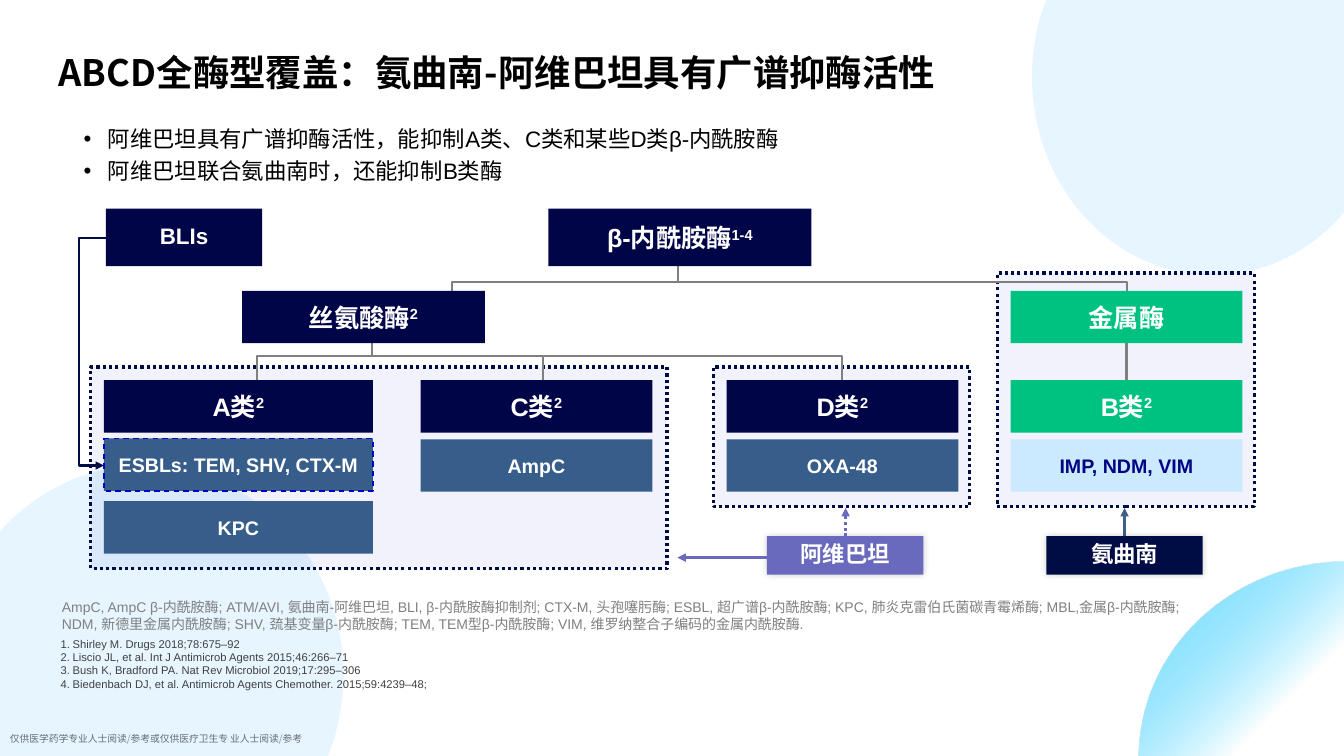
from dataclasses import dataclass
from typing import Any

import pptx
import pptx.dml.color
import pptx.enum.dml
import pptx.enum.shapes
import pptx.enum.text
import pptx.oxml.ns
import pptx.util
from lxml import etree

Cm, Pt, qn = pptx.util.Cm, pptx.util.Pt, pptx.oxml.ns.qn
Kind = pptx.enum.shapes.MSO_SHAPE
Dash = pptx.enum.dml.MSO_LINE
Align = pptx.enum.text.PP_ALIGN
Anchor = pptx.enum.text.MSO_ANCHOR
Point = tuple[float, float]


@dataclass(frozen=True)
class Theme:
    navy: str = "000548"
    green: str = "00C280"
    steel: str = "375E8A"
    ice: str = "CCEAFF"
    ice_text: str = "000483"
    violet: str = "696ABD"
    midnight: str = "000C44"
    frame: str = "000D45"
    blue: str = "0000C9"
    arrow: str = "405D86"
    grey: str = "808080"
    reference: str = "404040"
    slash: str = "333333"
    black: str = "000000"
    white: str = "FFFFFF"
    sky: str = "CFECFF"
    glow: tuple = (("8BE3FF", 0.15), ("0EC6FF", 0.71))
    latin: str = "Arial"
    chinese: str = "Noto Sans CJK SC"
    title: int = 26
    heading: int = 18
    body: int = 16
    member: int = 14
    glossary: int = 10
    small: int = 8
    footer: int = 7


THEME = Theme()


@dataclass(frozen=True)
class Label:
    text: str
    left: float
    top: float
    width: float
    height: float
    fill: str
    size: int = THEME.heading
    note: str = ""
    color: str = THEME.white
    kind: Any = Kind.ROUNDED_RECTANGLE
    inset: float = 0.25
    spacing: float = 1.0
    border: str = ""
    glow: bool = False


@dataclass(frozen=True)
class Link:
    start: Point
    end: Point
    color: str = THEME.grey
    weight: float = 1.5
    arrow: bool = False
    dash: Any = None
    bend: float | None = None


@dataclass(frozen=True)
class Blob:
    """Outline whose steps hold one point for a line, three for a curve."""
    start: Point
    steps: tuple[tuple[Point, ...], ...]
    gradient: bool = False


def rgb(value: str) -> pptx.dml.color.RGBColor:
    return pptx.dml.color.RGBColor.from_string(value)


def apply(target: Any, values: dict[str, Any]) -> None:
    for name, value in values.items():
        setattr(target, name, value)


def fade(node: Any, percent: int) -> None:
    """Give the last colour inside the node an opacity."""
    color = list(node.iter(qn("a:srgbClr")))[-1]
    etree.SubElement(color, qn("a:alpha"), val=str(percent * 1000))


def paint(box: Any, color: str) -> None:
    box.shadow.inherit = False
    box.fill.solid()
    box.fill.fore_color.rgb = rgb(color)


def add_span(para: Any, text: str, size: float, color: str, bold: bool = False,
             latin: str = THEME.latin) -> Any:
    span = para.add_run()
    span.text = text
    apply(span.font, {"size": Pt(size), "bold": bold, "name": latin})
    span.font.color.rgb = rgb(color)
    etree.SubElement(span.font._element, qn("a:ea"), typeface=THEME.chinese)
    return span


def set_frame(frame: Any, inset: float | None, anchor: Any) -> None:
    apply(frame, {"word_wrap": True, "vertical_anchor": anchor,
                  "auto_size": pptx.enum.text.MSO_AUTO_SIZE.NONE})
    if inset is not None:
        apply(frame, {f"margin_{side}": Cm(inset) for side in ("left", "top", "right", "bottom")})


def place(box: Any, left: float, top: float, width: float, height: float) -> None:
    apply(box, {"left": Cm(left), "top": Cm(top), "width": Cm(width), "height": Cm(height)})


def add_list(frame: Any, lines: list[str], size: float, color: str, indent: float,
             spacing: float, bullet: str, mark: dict[str, str]) -> None:
    for index, line in enumerate(lines):
        para = frame.paragraphs[0] if index == 0 else frame.add_paragraph()
        apply(para, {"line_spacing": spacing, "space_before": Pt(0)})
        add_span(para, line, size, color)
        props = para._p.get_or_add_pPr()
        apply_marks = {"marL": Cm(indent), "indent": -Cm(indent)}
        for name, value in apply_marks.items():
            props.set(name, str(value))
        etree.SubElement(props, qn(bullet), mark)


def add_blob(page: Any, blob: Blob) -> None:
    builder = page.shapes.build_freeform(*map(Cm, blob.start), scale=1.0)
    builder.add_line_segments([tuple(map(Cm, point)) for step in blob.steps for point in step])
    box = builder.convert_to_shape()
    lines = iter(list(box._element.iter(qn("a:lnTo"))))
    for step in blob.steps:
        parts = [next(lines) for _ in step]
        if len(parts) == 3:
            curve = etree.Element(qn("a:cubicBezTo"))
            parts[0].addprevious(curve)
            for part in parts:
                curve.append(part[0])
                part.getparent().remove(part)
    paint(box, THEME.sky)
    box.line.fill.background()
    if blob.gradient:
        box.fill.gradient()
        box.fill.gradient_angle = 315
        for stop, (color, position) in zip(box.fill.gradient_stops, THEME.glow):
            stop.color.rgb = rgb(color)
            stop.position = position
    fade(box._element.spPr, 0 if blob.gradient else 50)
    box._element.getparent().insert(2, box._element)


def add_panel(page: Any, *area: float) -> None:
    box = page.shapes.add_shape(Kind.RECTANGLE, *map(Cm, area))
    paint(box, THEME.blue)
    fade(box._element.spPr, 5)
    box.line.color.rgb = rgb(THEME.frame)
    apply(box.line, {"width": Pt(2.25), "dash_style": Dash.ROUND_DOT})


def add_bracket(page: Any, left: float, top: float, width: float, height: float) -> None:
    """Branch line: a right bracket turned so that it opens downwards."""
    box = page.shapes.add_shape(Kind.RIGHT_BRACKET, Cm(left + (width - height) / 2),
                                Cm(top + (height - width) / 2), Cm(height), Cm(width))
    box.adjustments[0] = 0
    box.rotation = 270
    box.shadow.inherit = False
    box.fill.background()
    box.line.color.rgb = rgb(THEME.grey)
    box.line.width = Pt(1.5)


def add_link(page: Any, link: Link) -> None:
    types = pptx.enum.shapes.MSO_CONNECTOR
    kind = types.STRAIGHT if link.bend is None else types.ELBOW
    line = page.shapes.add_connector(kind, *map(Cm, link.start + link.end))
    line.line.color.rgb = rgb(link.color)
    apply(line.line, {"width": Pt(link.weight), "dash_style": link.dash})
    props = line._element.spPr
    if link.arrow:
        etree.SubElement(props.find(qn("a:ln")), qn("a:tailEnd"), type="triangle")
    if link.bend is not None:
        ratio = (link.bend - link.start[0]) / (link.end[0] - link.start[0])
        guides = props.find(qn("a:prstGeom")).get_or_add_avLst()
        etree.SubElement(guides, qn("a:gd"), name="adj1", fmla=f"val {round(ratio * 100000)}")
    etree.SubElement(props, qn("a:effectLst"))


def add_label(page: Any, label: Label) -> None:
    box = page.shapes.add_shape(label.kind, *map(Cm, (label.left, label.top, label.width, label.height)))
    if label.kind == Kind.ROUNDED_RECTANGLE:
        box.adjustments[0] = 0
    paint(box, label.fill)
    if label.border:
        box.line.color.rgb = rgb(label.border)
        apply(box.line, {"width": Pt(1), "dash_style": Dash.DASH})
    else:
        box.line.fill.background()
    if label.glow:
        effects = box._element.spPr.find(qn("a:effectLst"))
        shadow = etree.SubElement(effects, qn("a:outerShdw"), blurRad=str(Pt(5)), dist="0")
        etree.SubElement(shadow, qn("a:srgbClr"), val=THEME.black)
        fade(shadow, 20)
    set_frame(box.text_frame, label.inset, Anchor.MIDDLE)
    para = box.text_frame.paragraphs[0]
    apply(para, {"alignment": Align.CENTER, "line_spacing": label.spacing})
    add_span(para, label.text, label.size, label.color, True)
    if label.note:
        note = add_span(para, label.note, label.size, label.color, True)
        note.font._element.set("baseline", "30000")


# Diagram grid: columns, rows and the labels in them
COL_A, COL_C, COL_D, COL_B = 2.62, 10.6, 18.31, 25.47
WIDE, NARROW, ROW = 6.78, 5.84, 1.32
ROOT, GROUP, CLASS, MEMBER, SECOND, DRUG = 5.26, 7.33, 9.58, 11.07, 12.63, 13.51
PLAIN = {"size": THEME.body, "kind": Kind.RECTANGLE, "inset": 0.13, "spacing": 0.9}
BLOBS = [
    Blob((3.63, 11.73), (((6.4, 11.73), (8.66, 14.1), (8.66, 17.02)), ((8.66, 17.55), (8.56, 18.08), (8.43, 18.59)),
                         ((8.26, 19.05),), ((0, 19.05),), ((0, 13.41),), ((0.1, 13.28),),
                         ((1.02, 12.32), (2.26, 11.73), (3.63, 11.73)))),
    Blob((26.37, 0), (((33.87, 0),), ((33.87, 5.36),), ((33.78, 5.46),),
                      ((32.94, 6.38), (31.83, 6.93), (30.56, 6.93)), ((28.04, 6.93), (26.01, 4.7), (26.01, 1.93)),
                      ((26.01, 1.42), (26.09, 0.91), (26.21, 0.43)))),
    Blob((33.93, 14.15), (((33.93, 19.13),), ((28.7, 19.13),), ((28.73, 18.64),),
                          ((28.98, 16.1), (31.22, 14.15), (33.93, 14.15))), True),
]
PANELS = [(17.98, 9.25, 6.45, 3.52), (2.29, 9.25, 14.52, 5.08), (25.13, 6.88, 6.48, 5.89)]
BRACKETS = [(6.47, 8.98, 14.76, 0.71), (11.39, 7.1, 17.02, 0.38)]
LINKS = [
    Link((28.34, DRUG), (28.34, 12.8), THEME.arrow, 2, True),
    Link((13.69, 8.94), (13.69, 10.19)), Link((28.39, 8.43), (28.39, 9.68)),
    Link((9.37, 8.59), (9.37, 8.99)), Link((17.09, 6.4), (17.09, 7.14)),
]
TOP_LINKS = [
    Link((19.43, 14.05), (17.07, 14.05), THEME.violet, 2, True),
    Link((21.31, DRUG), (21.31, 12.8), THEME.violet, 2, True, Dash.ROUND_DOT),
    Link((2.67, 5.99), (2.62, 11.73), THEME.frame, 1.5, True, bend=2.0),
]
LABELS = [
    Label("β-内酰胺酶", 13.82, ROOT, 6.63, 1.45, THEME.navy, note="1-4"),
    Label("丝氨酸酶", 6.1, GROUP, 6.12, ROW, THEME.navy, note="2"),
    Label("金属酶", COL_B, GROUP, NARROW, ROW, THEME.green),
    Label("A类", COL_A, CLASS, WIDE, ROW, THEME.navy, note="2"),
    Label("C类", COL_C, CLASS, NARROW, ROW, THEME.navy, note="2"),
    Label("D类", COL_D, CLASS, NARROW, ROW, THEME.navy, note="2"),
    Label("B类", COL_B, CLASS, NARROW, ROW, THEME.green, note="2"),
    Label("ESBLs: TEM, SHV, CTX-M", COL_A, 11.05, WIDE, ROW, THEME.steel, THEME.member,
          inset=0, border=THEME.blue),
    Label("KPC", COL_A, SECOND, WIDE, ROW, THEME.steel, THEME.member),
    Label("AmpC", COL_C, MEMBER, NARROW, ROW, THEME.steel, THEME.member),
    Label("OXA-48", COL_D, MEMBER, NARROW, ROW, THEME.steel, THEME.member),
    Label("IMP, NDM, VIM", COL_B, MEMBER, NARROW, ROW, THEME.ice, THEME.member, color=THEME.ice_text),
    Label("氨曲南", 26.37, DRUG, 3.94, 0.97, THEME.midnight, glow=True, **PLAIN),
    Label("阿维巴坦", 19.33, DRUG, 3.94, 0.97, THEME.violet, glow=True, **PLAIN),
    Label("BLIs", 2.67, ROOT, 3.94, 1.45, THEME.navy, **PLAIN),
]
BULLETS = ["阿维巴坦具有广谱抑酶活性，能抑制A类、C类和某些D类β-内酰胺酶", "阿维巴坦联合氨曲南时，还能抑制B类酶"]
REFERENCES = ["Shirley M. Drugs 2018;78:675–92", "Liscio JL, et al. Int J Antimicrob Agents 2015;46:266–71",
              "Bush K, Bradford PA. Nat Rev Microbiol 2019;17:295–306",
              "Biedenbach DJ, et al. Antimicrob Agents Chemother. 2015;59:4239–48;"]
GLOSSARY = (
    "AmpC, AmpC β-内酰胺酶; ATM/AVI, 氨曲南-阿维巴坦, BLI, β-内酰胺酶抑制剂; CTX-M, 头孢噻肟酶; "
    "ESBL, 超广谱β-内酰胺酶; KPC, 肺炎克雷伯氏菌碳青霉烯酶; MBL,金属β-内酰胺酶; NDM, 新德里金属内酰胺酶; "
    "SHV, 巯基变量β-内酰胺酶; TEM, TEM型β-内酰胺酶; VIM, 维罗纳整合子编码的金属内酰胺酶.")
FOOTER = [("仅供医学药学专业人士阅读", THEME.black), ("/", THEME.slash),
          ("参考或仅供医疗卫生专 业人士阅读", THEME.black), ("/", THEME.slash), ("参考", THEME.black)]


def add_texts(page: Any) -> None:
    # Title and bullets
    title, body = page.shapes.title, page.placeholders[1]
    place(title, 1.22, 0.88, 26.16, 1.63)
    set_frame(title.text_frame, None, Anchor.BOTTOM)
    para = title.text_frame.paragraphs[0]
    apply(para, {"alignment": Align.LEFT, "line_spacing": 0.9})
    add_span(para, "ABCD全酶型覆盖：氨曲南-阿维巴坦具有广谱抑酶活性", THEME.title, THEME.black, True, THEME.chinese)
    place(body, 2.11, 3.02, 19.0, 1.57)
    set_frame(body.text_frame, 0, Anchor.TOP)
    add_list(body.text_frame, BULLETS, THEME.body, THEME.black, 0.61, 1.2, "a:buChar", {"char": "•"})
    # Glossary, references and footer
    glossary, references, footer = (
        page.shapes.add_textbox(*map(Cm, area)).text_frame
        for area in ((1.56, 15.07, 29.03, 0.86), (1.53, 16.41, 27.61, 0.99), (0, 18.34, 28.96, 0.56)))
    set_frame(glossary, 0, Anchor.BOTTOM)
    add_span(glossary.paragraphs[0], GLOSSARY, THEME.glossary, THEME.grey)
    set_frame(references, 0, Anchor.BOTTOM)
    add_list(references, REFERENCES, THEME.small, THEME.reference, 0.3, 1.0,
             "a:buAutoNum", {"type": "arabicPeriod"})
    set_frame(footer, None, Anchor.TOP)
    for text, color in FOOTER:
        span = add_span(footer.paragraphs[0], text, THEME.footer, color, latin=THEME.chinese)
        fade(span.font._element, 55)


def main() -> None:
    deck = pptx.Presentation()
    apply(deck, {"slide_width": Cm(33.87), "slide_height": Cm(19.05)})
    page = deck.slides.add_slide(deck.slide_layouts[1])
    add_texts(page)
    for blob in BLOBS:
        add_blob(page, blob)
    # Enzyme tree, from back to front
    for panel in PANELS:
        add_panel(page, *panel)
    for bracket in BRACKETS:
        add_bracket(page, *bracket)
    for link in LINKS:
        add_link(page, link)
    for label in LABELS:
        add_label(page, label)
    for link in TOP_LINKS:
        add_link(page, link)
    deck.save("out.pptx")


if __name__ == "__main__":
    main()
